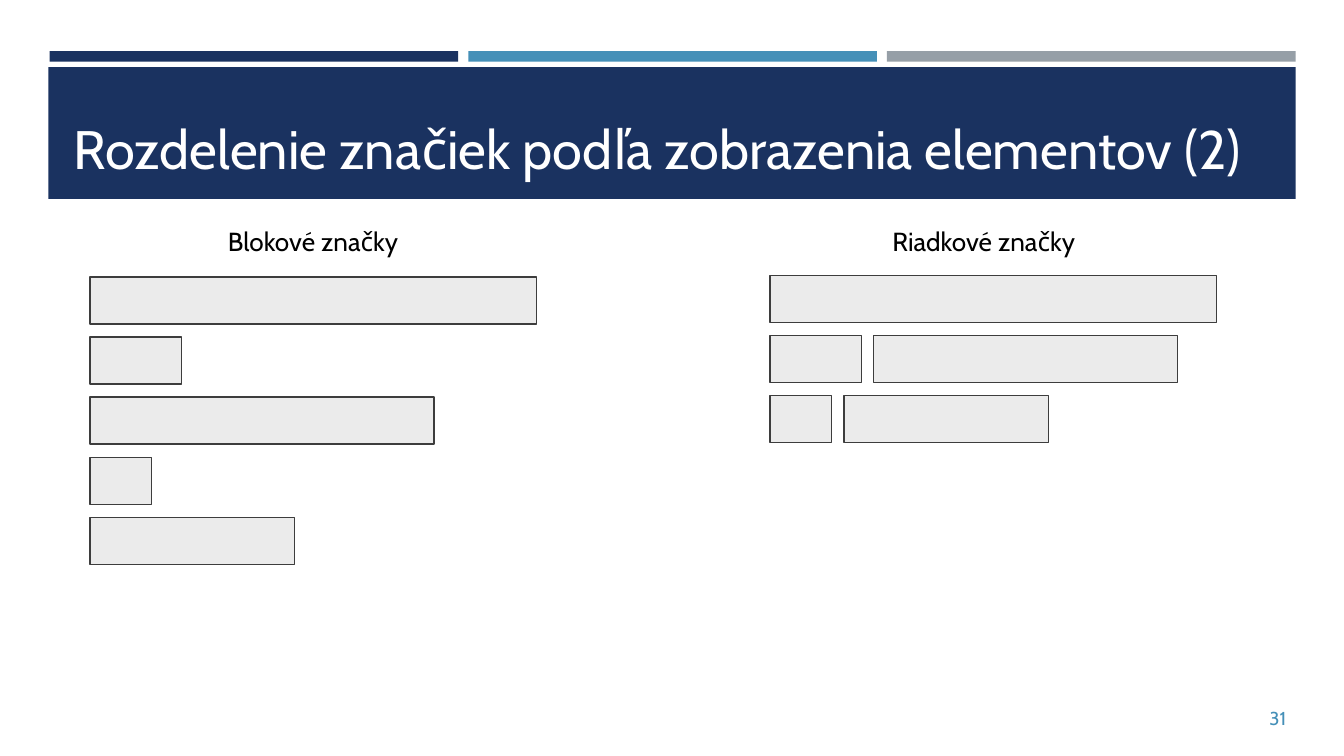
from dataclasses import dataclass

import pptx
import pptx.dml.color
import pptx.enum.shapes
import pptx.enum.text
import pptx.util
from pptx.util import Inches

ALIGN = pptx.enum.text.PP_ALIGN
ANCHOR = pptx.enum.text.MSO_ANCHOR

NAVY, BLUE, GRAY = "1A3260", "4590B8", "969FA7"
TAG_FILL, TAG_LINE = "EBEBEB", "3D3D3D"
TAG_HEIGHT, TAG_GAP = 0.35, 0.09
ROW_STEP = 1.79 / 4  # five rows share this span
STRIP_STEP = 6.23 / 2


@dataclass(frozen=True)
class TagGroup:
    heading: str
    heading_left: float
    left: float
    top: float
    rows: tuple[tuple[float, ...], ...]  # widths of the tags in each row


TAG_GROUPS = (
    TagGroup("Riadkové značky", 6.45, 5.73, 2.05,
             ((3.32,), (0.68, 2.26), (0.46, 1.52))),
    TagGroup("Blokové značky", 1.46, 0.67, 2.06,
             ((3.32,), (0.68,), (2.56,), (0.46,), (1.52,))),
)


def color(hex_code: str) -> pptx.dml.color.RGBColor:
    return pptx.dml.color.RGBColor.from_string(hex_code)


def add_box(slide, left: float, top: float, width: float, height: float,
            fill: str, line: str | None = None) -> None:
    box = slide.shapes.add_shape(
        pptx.enum.shapes.MSO_SHAPE.RECTANGLE,
        Inches(left), Inches(top), Inches(width), Inches(height))
    box.shadow.inherit = False
    box.fill.solid()
    box.fill.fore_color.rgb = color(fill)
    if line:
        box.line.color.rgb = color(line)
        box.line.width = pptx.util.Pt(0.75)
    else:
        box.line.fill.background()


def add_text(slide, text: str, left: float, top: float, width: float,
             height: float, *, size: float, ink: str = "000000",
             align=ALIGN.LEFT, anchor=ANCHOR.TOP,
             inset_x: float = 0.07, inset_y: float = 0.07) -> None:
    frame = slide.shapes.add_textbox(
        Inches(left), Inches(top), Inches(width), Inches(height)).text_frame
    frame.word_wrap = True
    frame.vertical_anchor = anchor
    frame.margin_left = frame.margin_right = Inches(inset_x)
    frame.margin_top = frame.margin_bottom = Inches(inset_y)
    paragraph = frame.paragraphs[0]
    paragraph.alignment = align
    run = paragraph.add_run()
    run.text = text
    run.font.name = "Cabin"
    run.font.size = pptx.util.Pt(size)
    run.font.color.rgb = color(ink)


def add_tags(slide, group: TagGroup) -> None:
    for row, widths in enumerate(group.rows):
        left = group.left
        for width in widths:
            add_box(slide, left, group.top + row * ROW_STEP, width,
                    TAG_HEIGHT, TAG_FILL, TAG_LINE)
            left += width + TAG_GAP


def main() -> None:
    deck = pptx.Presentation()
    deck.slide_width = Inches(10)
    deck.slide_height = deck.slide_width * 9 // 16
    slide = deck.slides.add_slide(deck.slide_layouts[6])

    # Colour strips above the title band
    for column, strip_color in enumerate((NAVY, BLUE, GRAY)):
        add_box(slide, 0.37 + column * STRIP_STEP, 0.38, 3.04, 0.08,
                strip_color)

    # Title band
    add_box(slide, 0.36, 0.5, 9.28, 0.98, NAVY)
    add_text(slide, "Rozdelenie značiek podľa zobrazenia elementov (2)",
             0.48, 0.58, 9.05, 0.83, size=29, ink="FFFFFF",
             anchor=ANCHOR.BOTTOM)

    # Slide number
    add_text(slide, "31", 9.3, 5.19, 0.34, 0.3, size=10, ink=BLUE,
             align=ALIGN.RIGHT, anchor=ANCHOR.MIDDLE, inset_y=0.04)

    # Inline and block tags with their headings
    for group in TAG_GROUPS:
        add_tags(slide, group)
        add_text(slide, group.heading, group.heading_left, 1.58, 1.74, 0.54,
                 size=14, align=ALIGN.CENTER, inset_x=0.1, inset_y=0.1)

    deck.save("out.pptx")


if __name__ == "__main__":
    main()
